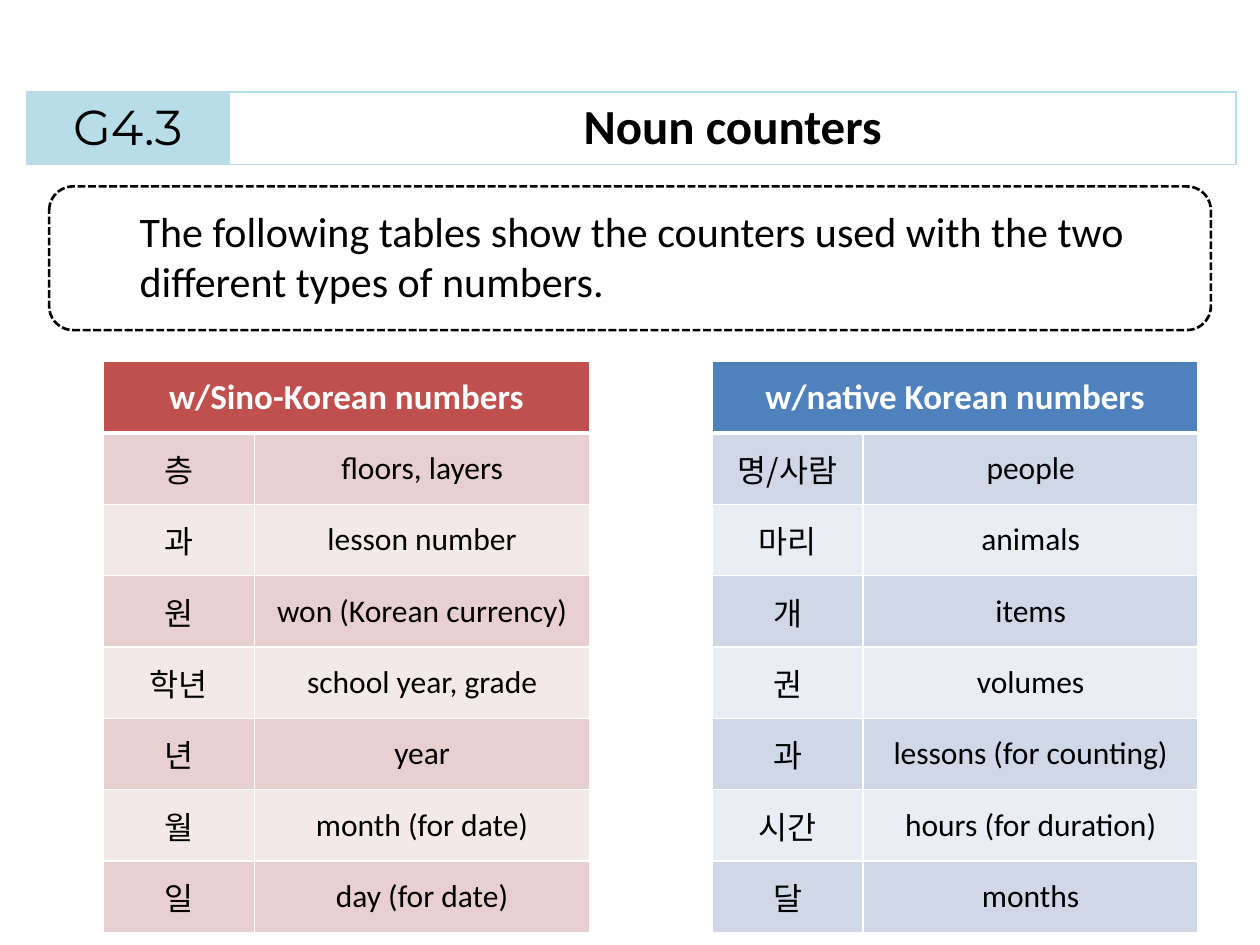
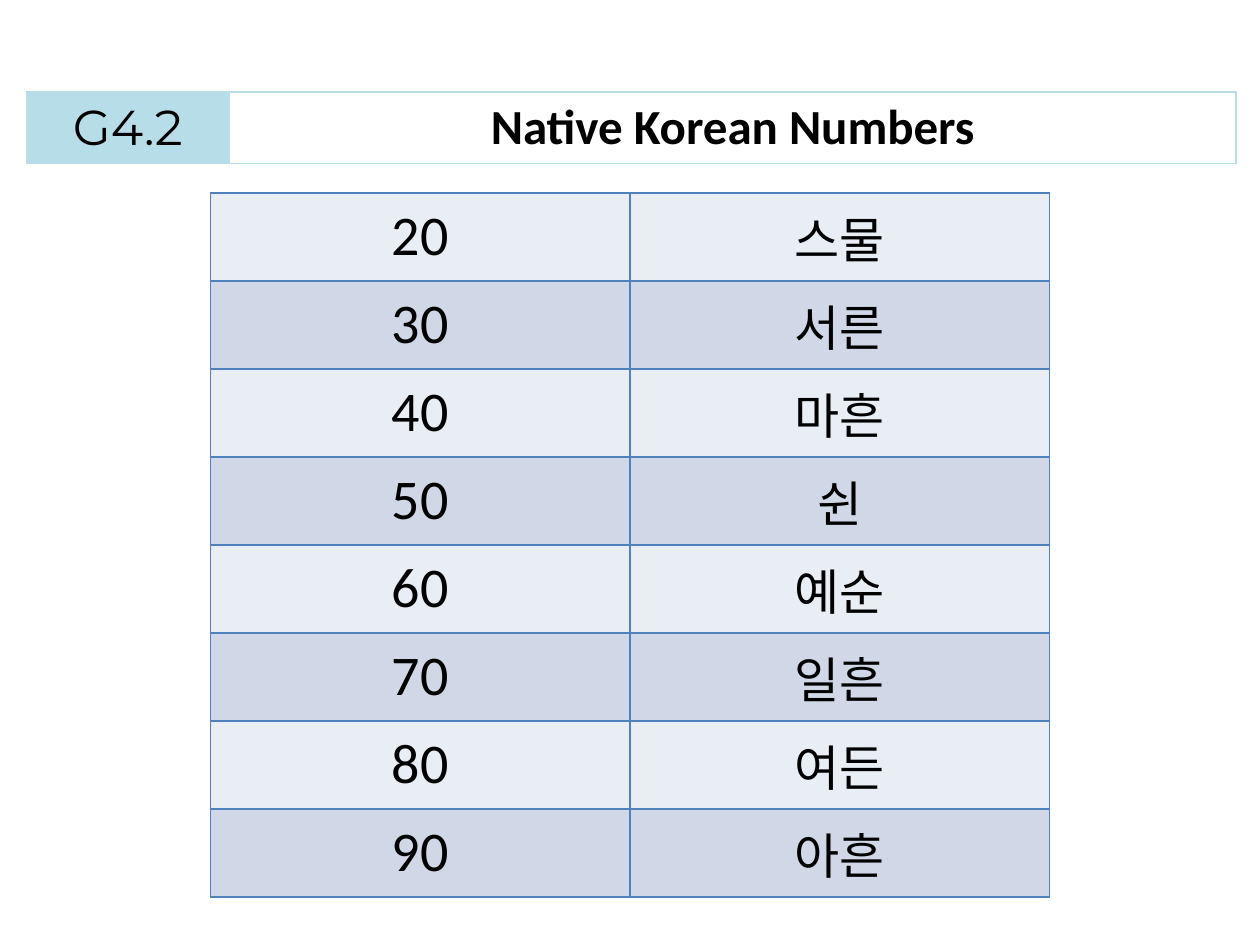
"""Build two Korean grammar slides: noun counters and native numbers."""
from lxml.etree import SubElement
from pptx import Presentation
from pptx.dml.color import RGBColor
from pptx.enum.dml import MSO_LINE
from pptx.enum.shapes import MSO_SHAPE
from pptx.enum.text import MSO_ANCHOR, PP_ALIGN
from pptx.oxml.ns import qn
from pptx.util import Inches, Pt

BLACK = RGBColor(0x00, 0x00, 0x00)
WHITE = RGBColor(0xFF, 0xFF, 0xFF)
AQUA = RGBColor(0xB7, 0xDE, 0xE8)
BLUE = RGBColor(0x4F, 0x81, 0xBD)
RED = RGBColor(0xC0, 0x50, 0x4D)
BLUE_BANDS = (RGBColor(0xD0, 0xD8, 0xE8), RGBColor(0xE9, 0xED, 0xF4))
RED_BANDS = (RGBColor(0xE8, 0xD0, 0xD0), RGBColor(0xF4, 0xE9, 0xE9))

LATIN, KOREAN, LABEL = "Calibri", "Noto Sans CJK KR", "Montserrat"

INTRO = ("The following tables show the counters used with the two "
         "different types of numbers.")

COUNTERS = [
    {"heading": "w/native Korean numbers", "left": 5.65,
     "color": BLUE, "bands": BLUE_BANDS,
     "rows": [("명/사람", "people"), ("마리", "animals"), ("개", "items"),
              ("권", "volumes"), ("과", "lessons (for counting)"),
              ("시간", "hours (for duration)"), ("달", "months")]},
    {"heading": "w/Sino-Korean numbers", "left": 0.82,
     "color": RED, "bands": RED_BANDS,
     "rows": [("층", "floors, layers"), ("과", "lesson number"),
              ("원", "won (Korean currency)"), ("학년", "school year, grade"),
              ("년", "year"), ("월", "month (for date)"),
              ("일", "day (for date)")]},
]

TENS = ["스물", "서른", "마흔", "쉰", "예순", "일흔", "여든", "아흔"]


def style_run(r, name, size, color=BLACK, bold=False):
    values = {"name": name, "size": Pt(size), "bold": bold}
    for key, value in values.items():
        setattr(r.font, key, value)
    r.font.color.rgb = color
    if name == KOREAN:
        SubElement(r.font._element, qn("a:ea"), typeface=name)


def set_borders(cell, color, **widths):
    tc_pr = cell._tc.get_or_add_tcPr()
    for side in "LRTB":
        width = Pt(widths.get(side, 1))
        ln = SubElement(tc_pr, qn(f"a:ln{side}"), w=str(width))
        fill = SubElement(ln, qn("a:solidFill"))
        SubElement(fill, qn("a:srgbClr"), val=str(color))


def fill_cell(cell, text, fill, border, font, anchor=MSO_ANCHOR.MIDDLE, **widths):
    set_borders(cell, border, **widths)
    if fill is None:
        cell.fill.background()
    else:
        cell.fill.solid()
        cell.fill.fore_color.rgb = fill
    cell.vertical_anchor = anchor
    p = cell.text_frame.paragraphs[0]
    p.alignment = PP_ALIGN.CENTER
    if text:
        r = p.add_run()
        r.text = text
        style_run(r, **font)


def add_grid(slide, left, top, col_widths, row_count, height):
    table = slide.shapes.add_table(
        row_count, len(col_widths), Inches(left), Inches(top),
        Inches(sum(col_widths)), Inches(height)).table
    table.first_row = table.horz_banding = False
    for column, width in zip(table.columns, col_widths):
        column.width = Inches(width)
    for row in table.rows:
        row.height = Inches(height / row_count)
    return table


def add_header(slide, number, title):
    table = add_grid(slide, 0.21, 0.73, (1.61, 7.99), 1, 0.55)
    cells = [(number, AQUA, {"name": LABEL, "size": 28}),
             (title, None, {"name": LATIN, "size": 28, "bold": True})]
    for col, (text, fill, font) in enumerate(cells):
        fill_cell(table.cell(0, col), text, fill, AQUA, font, MSO_ANCHOR.TOP)


def add_intro(slide):
    s = slide.shapes
    frame = s.add_shape(MSO_SHAPE.ROUNDED_RECTANGLE, Inches(0.39), Inches(1.48),
                        Inches(9.22), Inches(1.14))
    frame.shadow.inherit = False
    frame.fill.background()
    frame.line.color.rgb = BLACK
    frame.line.width = Pt(1.5)
    frame.line.dash_style = MSO_LINE.SQUARE_DOT
    tf = s.add_textbox(Inches(1.01), Inches(1.58), Inches(8.19), Inches(0.91)).text_frame
    tf.word_wrap = True
    r = tf.paragraphs[0].add_run()
    r.text = INTRO
    style_run(r, LATIN, 24)


def add_counters(slide, heading, left, color, bands, rows):
    table = add_grid(slide, left, 2.87, (1.2, 2.66), len(rows) + 1, 4.53)
    head_font = {"name": LATIN, "size": 20, "color": WHITE, "bold": True}
    for col, text in enumerate((heading, "")):
        fill_cell(table.cell(0, col), text, color, WHITE, head_font, B=3)
    table.cell(0, 0).merge(table.cell(0, 1))
    for i, row in enumerate(rows):
        for col, (text, name) in enumerate(zip(row, (KOREAN, LATIN))):
            fill_cell(table.cell(i + 1, col), text, bands[i % 2], WHITE,
                      {"name": name, "size": 18}, T=1 if i else 3)


def add_tens(slide):
    table = add_grid(slide, 1.67, 1.53, (3.33, 3.33), len(TENS), 5.59)
    fonts = ({"name": LATIN, "size": 32}, {"name": KOREAN, "size": 28})
    for i, word in enumerate(TENS):
        for col, text in enumerate((str(20 + 10 * i), word)):
            fill_cell(table.cell(i, col), text, BLUE_BANDS[(i + 1) % 2], BLUE, fonts[col])


def main():
    prs = Presentation()
    prs.slide_width, prs.slide_height = Inches(10), Inches(7.5)
    blank = prs.slide_layouts[6]

    slide = prs.slides.add_slide(blank)
    add_header(slide, "G4.3", "Noun counters")
    add_intro(slide)
    for counters in COUNTERS:
        add_counters(slide, **counters)

    slide = prs.slides.add_slide(blank)
    add_header(slide, "G4.2", "Native Korean Numbers")
    add_tens(slide)
    prs.save("out.pptx")


if __name__ == "__main__":
    main()
